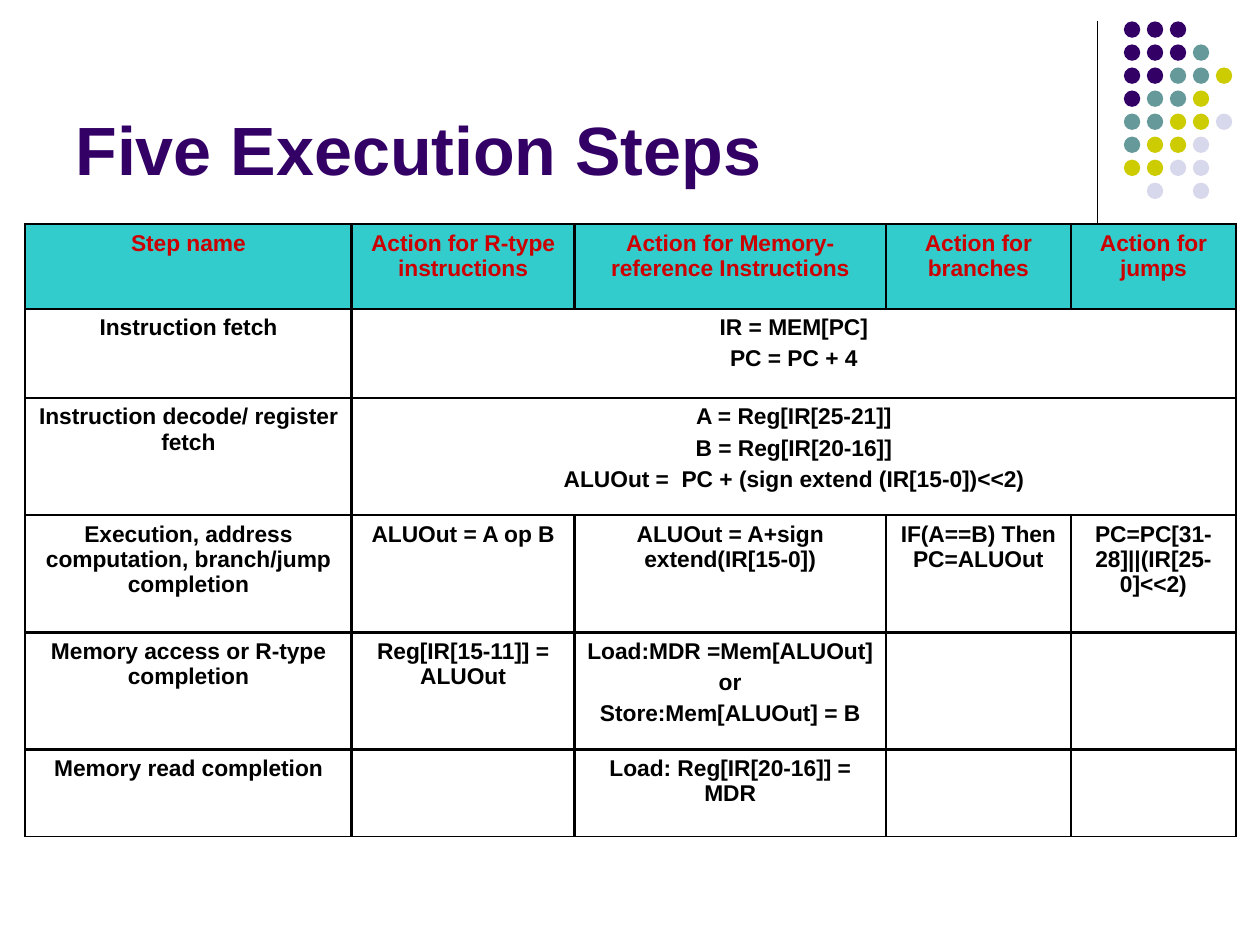
"""Build the slide on the five execution steps."""
from dataclasses import dataclass

import pptx
import pptx.dml.color
import pptx.enum.shapes
import pptx.enum.text
import pptx.oxml
import pptx.oxml.ns
import pptx.util

Inches = pptx.util.Inches
Pt = pptx.util.Pt
Alignment = pptx.enum.text.PP_ALIGN
Anchor = pptx.enum.text.MSO_ANCHOR


@dataclass(frozen=True)
class Theme:
    """Colours, type sizes and line widths of the slide."""

    font: str = "Arial"
    title: str = "330066"
    header_text: str = "CC0000"
    header_fill: str = "33CCCC"
    ink: str = "000000"
    dots: tuple = ("330066", "669999", "CCCC00", "D8D8EC")
    title_size: float = 39
    table_size: float = 13
    paragraph_gap: float = 3.3
    rule: float = 0.75
    inner_border: float = 1.47
    outer_border: float = 1.08


THEME = Theme()

DOT_ROWS = ["000", "0001", "00112", "0112", "11223", "1223", "2233", " 3 3"]

COLUMN_WIDTHS = [2.59, 1.77, 2.47, 1.47, 1.31]
ROW_HEIGHTS = [0.67, 0.71, 0.93, 0.93, 0.93, 0.69]
MERGED_ROWS = (1, 2)
STEPS = [
    ["Step name", "Action for R-type instructions",
     "Action for Memory-reference Instructions",
     "Action for branches", "Action for jumps"],
    ["Instruction fetch", "IR = MEM[PC]\nPC = PC + 4"],
    ["Instruction decode/ register fetch",
     "A = Reg[IR[25-21]]\nB = Reg[IR[20-16]]\n"
     "ALUOut =  PC + (sign extend (IR[15-0])<<2)"],
    ["Execution, address computation, branch/jump completion",
     "ALUOut = A op B", "ALUOut = A+sign extend(IR[15-0])",
     "IF(A==B) Then PC=ALUOut", "PC=PC[31-28]||(IR[25-0]<<2)"],
    ["Memory access or R-type completion", "Reg[IR[15-11]] = ALUOut",
     "Load:MDR =Mem[ALUOut]\nor\nStore:Mem[ALUOut] = B"],
    ["Memory read completion", "", "Load: Reg[IR[20-16]] = MDR"],
]


def rgb(value):
    """Return the colour for a hex value."""
    return pptx.dml.color.RGBColor.from_string(value)


def apply_format(target, values):
    """Set each attribute of the target from a dict."""
    for name, value in values.items():
        setattr(target, name, value)


def write_text(frame, text, size, color, alignment):
    """Write bold text into a frame, one paragraph per line."""
    for index, line in enumerate(text.split("\n")):
        paragraph = frame.paragraphs[0] if index == 0 else frame.add_paragraph()
        paragraph.alignment = alignment
        if index:
            paragraph.space_before = Pt(THEME.paragraph_gap)
        run = paragraph.add_run()
        run.text = line
        apply_format(run.font, {"name": THEME.font, "size": Pt(size), "bold": True})
        run.font.color.rgb = rgb(color)


def add_title(slide, left, top, width, height):
    """Place the title at the bottom of its box."""
    frame = slide.shapes.add_textbox(left, top, width, height).text_frame
    apply_format(frame, {"word_wrap": True, "vertical_anchor": Anchor.BOTTOM})
    write_text(frame, "Five Execution Steps", THEME.title_size, THEME.title,
               Alignment.LEFT)


def add_rule(slide, left, top, height):
    """Draw the thin vertical line beside the dots."""
    connector = slide.shapes.add_connector(
        pptx.enum.shapes.MSO_CONNECTOR.STRAIGHT, left, top, left, top + height)
    connector.line.width = Pt(THEME.rule)
    connector.line.color.rgb = rgb(THEME.ink)
    properties = connector._element.spPr
    properties.append(pptx.oxml.parse_xml(
        f'<a:effectLst {pptx.oxml.ns.nsdecls("a")}/>'))


def add_dots(slide, left, top, width, height):
    """Fill the box with an even grid of coloured dots."""
    diameter = Inches(0.13)
    step_x = (width - diameter) / (max(map(len, DOT_ROWS)) - 1)
    step_y = (height - diameter) / (len(DOT_ROWS) - 1)
    group = slide.shapes.add_group_shape()
    for row, pattern in enumerate(DOT_ROWS):
        for column, key in enumerate(pattern):
            if key == " ":
                continue
            dot = group.shapes.add_shape(
                pptx.enum.shapes.MSO_SHAPE.OVAL, round(left + column * step_x),
                round(top + row * step_y), diameter, diameter)
            dot.shadow.inherit = False
            dot.fill.solid()
            dot.fill.fore_color.rgb = rgb(THEME.dots[int(key)])
            dot.line.fill.background()


def set_borders(cell, widths):
    """Add solid borders to a cell from a dict of side and width."""
    properties = cell._tc.get_or_add_tcPr()
    for side, width in widths.items():
        properties.append(pptx.oxml.parse_xml(
            f'<a:ln{side} {pptx.oxml.ns.nsdecls("a")} w="{Pt(width)}">'
            f'<a:solidFill><a:srgbClr val="{THEME.ink}"/></a:solidFill>'
            f'</a:ln{side}>'))


def border_widths(cell, row, column):
    """Return border widths, thinner on the outer edge below the header."""
    inner, outer = THEME.inner_border, THEME.outer_border
    last = column + (cell.span_width if cell.is_merge_origin else 1) - 1
    at_right = last == len(COLUMN_WIDTHS) - 1
    widths = {
        "L": outer if row and column == 0 else inner,
        "R": outer if row and at_right else inner,
        "T": inner,
        "B": outer if row == len(ROW_HEIGHTS) - 1 else inner,
    }
    if cell.is_spanned:
        del widths["L"]
        if not at_right:
            del widths["R"]
    return widths


def format_cell(cell, row, column):
    """Set the margins, borders and fill of a cell."""
    apply_format(cell, {
        "margin_left": Inches(0.07), "margin_right": Inches(0.07),
        "margin_top": Inches(0.05), "margin_bottom": Inches(0.05),
        "vertical_anchor": Anchor.TOP})
    set_borders(cell, border_widths(cell, row, column))
    if row == 0:
        cell.fill.solid()
        cell.fill.fore_color.rgb = rgb(THEME.header_fill)
    else:
        cell.fill.background()


def add_steps_table(slide, left, top, width, height):
    """Place the table of steps and instruction actions."""
    table = slide.shapes.add_table(
        len(ROW_HEIGHTS), len(COLUMN_WIDTHS), left, top, width, height).table
    apply_format(table, {"first_row": False, "horz_banding": False})
    for column, size in zip(table.columns, COLUMN_WIDTHS):
        column.width = Inches(size)
    for row, size in zip(table.rows, ROW_HEIGHTS):
        row.height = Inches(size)
    for row in MERGED_ROWS:
        table.cell(row, 1).merge(table.cell(row, len(COLUMN_WIDTHS) - 1))
    for row, texts in enumerate(STEPS):
        for column in range(len(COLUMN_WIDTHS)):
            format_cell(table.cell(row, column), row, column)
        color = THEME.ink if row else THEME.header_text
        for column, text in enumerate(texts):
            if text:
                write_text(table.cell(row, column).text_frame, text,
                           THEME.table_size, color, Alignment.CENTER)


def main():
    """Build and save the presentation."""
    presentation = pptx.Presentation()
    apply_format(presentation, {"slide_width": Inches(10), "slide_height": Inches(7.5)})
    slide = presentation.slides.add_slide(presentation.slide_layouts[6])
    add_rule(slide, Inches(8.71), Inches(0.17), Inches(1.66))
    add_dots(slide, Inches(8.92), Inches(0.17), Inches(0.86), Inches(1.41))
    add_title(slide, Inches(0.5), Inches(0.13), Inches(8.25), Inches(1.42))
    add_steps_table(slide, Inches(0.2), Inches(1.78), Inches(9.61), Inches(4.86))
    presentation.save("out.pptx")


if __name__ == "__main__":
    main()
